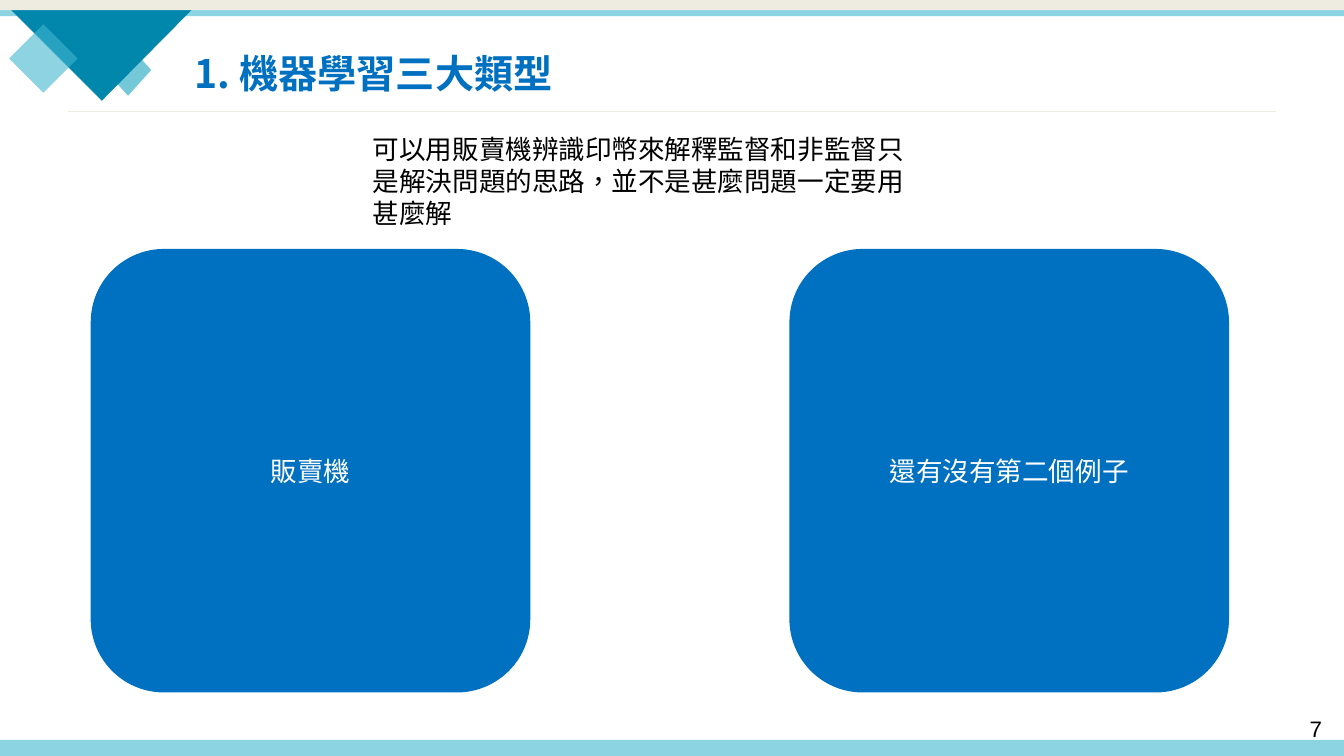
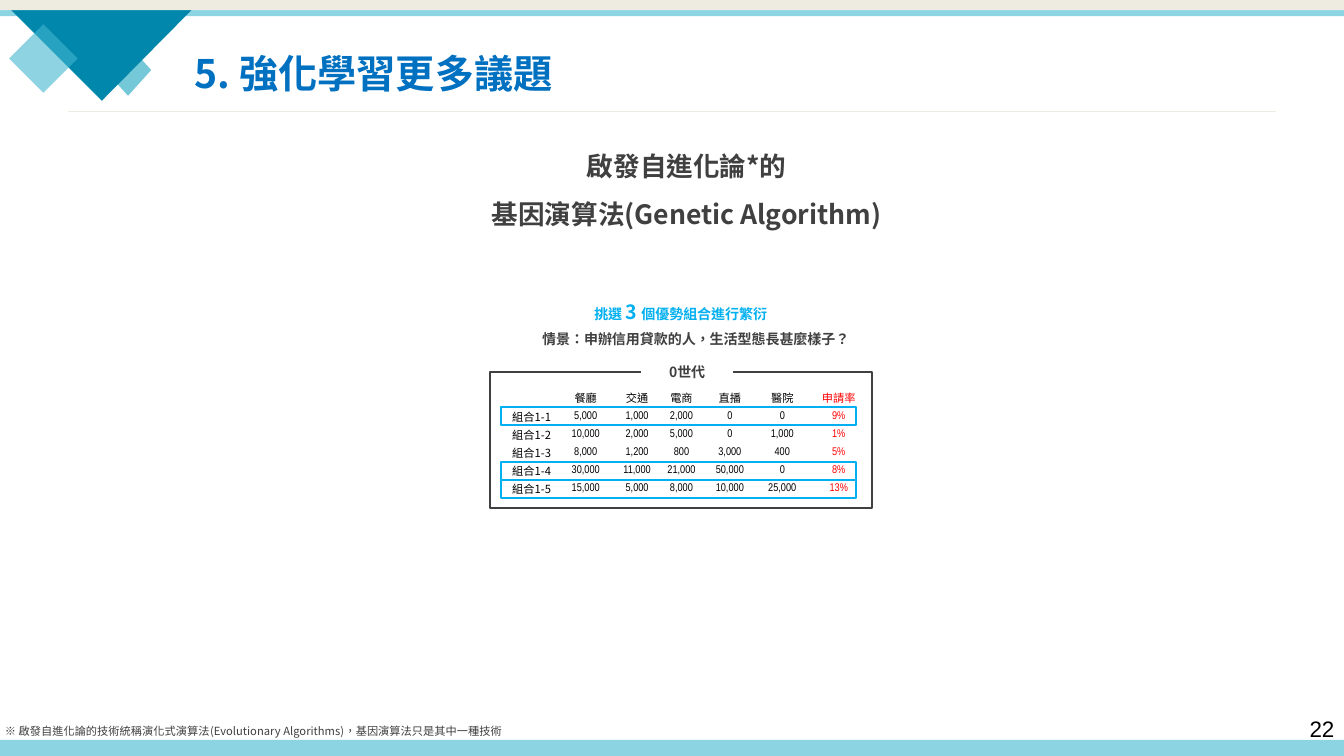
"""Build two machine learning slides that share one decorated layout."""
import pptx
import pptx.dml.color
import pptx.enum.lang
import pptx.enum.shapes
import pptx.enum.text
import pptx.oxml
import pptx.oxml.ns
import pptx.util

RGBColor = pptx.dml.color.RGBColor
Shape = pptx.enum.shapes.MSO_SHAPE
Align = pptx.enum.text.PP_ALIGN
Anchor = pptx.enum.text.MSO_ANCHOR

EMU_PER_PX = 9144
SLIDE_WIDTH, SLIDE_HEIGHT = 1333, 750

BLACK = RGBColor(0x00, 0x00, 0x00)
WHITE = RGBColor(0xFF, 0xFF, 0xFF)
GREY = RGBColor(0x40, 0x40, 0x40)
RED = RGBColor(0xFF, 0x00, 0x00)
BLUE = RGBColor(0x00, 0x70, 0xC0)
BRIGHT_BLUE = RGBColor(0x00, 0xB0, 0xF0)
BAND_BLUE = RGBColor(0x8D, 0xD4, 0xE3)
SMALL_DIAMOND_BLUE = RGBColor(0x1A, 0xA4, 0xBE)
LARGE_DIAMOND_BLUE = RGBColor(0x41, 0xB7, 0xD0)
TRIANGLE_BLUE = RGBColor(0x01, 0x87, 0xAC)
CREAM = RGBColor(0xEE, 0xEC, 0xE1)

CJK_FONT = "Noto Sans CJK SC"
TITLE = {"name": CJK_FONT, "size": 28, "bold": True, "color": BLUE}
HEADING = {"name": CJK_FONT, "size": 19, "bold": True, "color": GREY}
LABEL = {"name": CJK_FONT, "size": 10, "bold": True, "color": GREY}
ACCENT = {**LABEL, "color": BRIGHT_BLUE}
NOTE = {"name": CJK_FONT, "size": 8, "color": GREY}
BODY = {"name": "Arial", "size": 19, "color": BLACK}
CARD = {**BODY, "color": WHITE}
PAGE_NUMBER = {"name": "Arial", "size": 16, "color": BLACK}
TABLE_WORD = {"name": CJK_FONT, "size": 8, "color": BLACK}
TABLE_NUMBER = {**TABLE_WORD, "name": "Arial Narrow"}

COLUMN_WIDTHS = (57, 52, 50, 38, 58, 46, 66)
TABLE_LEFT, TABLE_TOP = 498, 384
HEADER_HEIGHT, ROW_HEIGHT = 20, 18
TABLE_ROWS = (
    ("", "餐廳", "交通", "電商", "直播", "醫院", "申請率"),
    ("組合1-1", "5,000", "1,000", "2,000", "0", "0", "9%"),
    ("組合1-2", "10,000", "2,000", "5,000", "0", "1,000", "1%"),
    ("組合1-3", "8,000", "1,200", "800", "3,000", "400", "5%"),
    ("組合1-4", "30,000", "11,000", "21,000", "50,000", "0", "8%"),
    ("組合1-5", "15,000", "5,000", "8,000", "10,000", "25,000", "13%"),
)
SELECTED_ROWS = (1, 4, 5)


def px(*lengths):
    """Turn px lengths into a list of EMU lengths."""
    return [pptx.util.Emu(length * EMU_PER_PX) for length in lengths]


def make_element(tag, attributes=""):
    """Make an empty drawing element."""
    return pptx.oxml.parse_xml(f'<a:{tag} {pptx.oxml.ns.nsdecls("a")} {attributes}/>')


def set_attributes(target, **values):
    """Set each named value on the target."""
    for name, value in values.items():
        setattr(target, name, value)


def format_font(run, style):
    """Apply a text style to a run, East Asian characters included."""
    run.font.language_id = pptx.enum.lang.MSO_LANGUAGE_ID.TRADITIONAL_CHINESE
    for name, value in style.items():
        if name == "color":
            run.font.color.rgb = value
        else:
            setattr(run.font, name, pptx.util.Pt(value) if name == "size" else value)
    run.font._element.append(make_element("ea", f'typeface="{CJK_FONT}"'))


def write_paragraphs(text_frame, paragraphs, align=Align.LEFT, spacing=1.0):
    """Write paragraphs, each a list of (text, style) runs."""
    for index, runs in enumerate(paragraphs):
        paragraph = text_frame.add_paragraph() if index else text_frame.paragraphs[0]
        set_attributes(paragraph, alignment=align, line_spacing=spacing)
        for text, style in runs:
            if text:
                run = paragraph.add_run()
                run.text = text
                format_font(run, style)
            else:
                paragraph._p.append(make_element("endParaRPr", f'sz="{style["size"] * 100}"'))


def add_text(slide, bounds, paragraphs, align=Align.LEFT, spacing=1.0, fill=None):
    """Add a wrapping text box, with a fill if one is given."""
    box = slide.shapes.add_textbox(*px(*bounds))
    box.text_frame.word_wrap = True
    if fill is not None:
        box.fill.solid()
        box.fill.fore_color.rgb = fill
    write_paragraphs(box.text_frame, paragraphs, align, spacing)
    return box


def paint(shape, fill=None, line=None, line_width=1, alpha=None):
    """Set the fill and outline of a shape and drop its shadow."""
    shape.shadow.inherit = False
    if fill is None:
        shape.fill.background()
    else:
        shape.fill.solid()
        shape.fill.fore_color.rgb = fill
    if line is None:
        shape.line.fill.background()
    else:
        shape.line.color.rgb = line
        shape.line.width = pptx.util.Pt(line_width)
    if alpha is not None:
        color = shape.element.spPr.find(".//" + pptx.oxml.ns.qn("a:srgbClr"))
        color.append(make_element("alpha", f'val="{alpha * 1000}"'))
    return shape


def add_shape(slide, kind, bounds, **look):
    """Add a painted preset shape."""
    return paint(slide.shapes.add_shape(kind, *px(*bounds)), **look)


def add_divider(slide, left, right, top):
    """Add the thin line below the title."""
    divider = slide.shapes.add_connector(
        pptx.enum.shapes.MSO_CONNECTOR.STRAIGHT, *px(left, top, right, top))
    divider.line.color.rgb = CREAM
    divider.line.width = pptx.util.Pt(0.5)
    divider.element.spPr.append(make_element("effectLst"))


def add_triangle(slide):
    """Add the large corner triangle."""
    builder = slide.shapes.build_freeform(17, 0, scale=EMU_PER_PX)
    builder.add_line_segments([(184, 0), (192, 8), (101, 100), (9, 8)], close=True)
    paint(builder.convert_to_shape(), fill=TRIANGLE_BLUE)


def decorate_layout(slide):
    """Draw the shared bands and corner, then move them to the slide's layout."""
    existing = len(slide.shapes)
    add_shape(slide, Shape.DIAMOND, (104, 44, 46, 51), fill=SMALL_DIAMOND_BLUE, alpha=60)
    add_shape(slide, Shape.RECTANGLE, (0, 0, SLIDE_WIDTH, 16), fill=BAND_BLUE)
    add_triangle(slide)
    add_shape(slide, Shape.DIAMOND, (9, 24, 68, 68), fill=LARGE_DIAMOND_BLUE, alpha=60)
    add_shape(slide, Shape.RECTANGLE, (0, SLIDE_HEIGHT - 16, SLIDE_WIDTH, 16), fill=BAND_BLUE)
    add_shape(slide, Shape.RECTANGLE, (0, 0, SLIDE_WIDTH, 10), fill=CREAM)
    add_divider(slide, 67, 1266, 110)
    for shape in list(slide.shapes)[existing:]:
        slide.slide_layout.shapes.element.append(shape.element)


def add_titled_slide(presentation, title, page_number):
    """Add a slide with its title and page number."""
    slide = presentation.slides.add_slide(presentation.slide_layouts[5])
    placeholder = slide.shapes.title
    left, top, width, height = px(183, 21, 1013, 72)
    set_attributes(placeholder, left=left, top=top, width=width, height=height)
    set_attributes(placeholder.text_frame, word_wrap=True, vertical_anchor=Anchor.TOP,
                   auto_size=pptx.enum.text.MSO_AUTO_SIZE.NONE)
    write_paragraphs(placeholder.text_frame, [[(title, TITLE)]], spacing=1.5)
    number = add_text(slide, (1289, 705, 44, 37), [[(page_number, PAGE_NUMBER)]])
    number.text_frame.margin_right = 0
    return slide


def add_card(slide, left, text):
    """Add a rounded card with centred text."""
    card = add_shape(slide, Shape.ROUNDED_RECTANGLE, (left, 247, 436, 440), fill=BLUE)
    set_attributes(card.text_frame, word_wrap=True, vertical_anchor=Anchor.MIDDLE)
    write_paragraphs(card.text_frame, [[(text, CARD)]], Align.CENTER)


def add_generation_table(slide):
    """Add the table of combinations."""
    table_height = HEADER_HEIGHT + ROW_HEIGHT * (len(TABLE_ROWS) - 1)
    bounds = px(TABLE_LEFT, TABLE_TOP, sum(COLUMN_WIDTHS), table_height)
    table = slide.shapes.add_table(len(TABLE_ROWS), len(COLUMN_WIDTHS), *bounds).table
    set_attributes(table, first_row=False, horz_banding=False)
    for column, width in zip(table.columns, px(*COLUMN_WIDTHS)):
        column.width = width
    last_column = len(COLUMN_WIDTHS) - 1
    for row_index, values in enumerate(TABLE_ROWS):
        height = ROW_HEIGHT if row_index else HEADER_HEIGHT
        table.rows[row_index].height = px(height)[0]
        for column_index, value in enumerate(values):
            cell = table.cell(row_index, column_index)
            is_label = column_index == 0
            cell.fill.background()
            set_attributes(cell, margin_left=px(10 if is_label else 0)[0], margin_right=0,
                           margin_top=0, margin_bottom=0, vertical_anchor=Anchor.MIDDLE)
            style = TABLE_NUMBER if row_index and not is_label else TABLE_WORD
            if column_index == last_column:
                style = {**style, "color": RED}
            align = Align.LEFT if is_label else Align.CENTER
            write_paragraphs(cell.text_frame, [[(value, style)]], align)


def outline_selected_rows(slide):
    """Outline the table rows that are selected."""
    for row_index in SELECTED_ROWS:
        top = TABLE_TOP + HEADER_HEIGHT + ROW_HEIGHT * (row_index - 1)
        add_shape(slide, Shape.RECTANGLE, (497, top, 352, ROW_HEIGHT),
                  line=BRIGHT_BLUE, line_width=1.5)


def build_learning_types(presentation):
    """Build the slide on the types of machine learning."""
    slide = add_titled_slide(presentation, "1. 機器學習三大類型", "7")
    decorate_layout(slide)
    explanation = "可以用販賣機辨識印幣來解釋監督和非監督只是解決問題的思路，並不是甚麼問題一定要用甚麼解"
    add_text(slide, (360, 127, 558, 106), [[(explanation, BODY)]])
    for left, text in ((90, "販賣機"), (783, "還有沒有第二個例子")):
        add_card(slide, left, text)


def build_genetic_algorithm(presentation):
    """Build the slide on the genetic algorithm."""
    slide = add_titled_slide(presentation, "5. 強化學習更多議題", "22")
    centred = {"align": Align.CENTER, "spacing": 1.5}
    add_text(slide, (400, 128, 562, 100),
             [[("啟發自進化論*的", HEADING)],
              [("基因演算法(Genetic Algorithm)", HEADING)]], **centred)
    footnote = "※ 啟發自進化論的技術統稱演化式演算法(Evolutionary Algorithms)，基因演算法只是其中一種技術"
    add_text(slide, (-5, 707, 703, 28), [[(footnote, NOTE)]], spacing=1.5)
    add_text(slide, (522, 315, 336, 32),
             [[("情景：申辦信用貸款的人，生活型態長甚麼樣子？", LABEL)]], **centred)
    add_text(slide, (574, 281, 202, 41),
             [[("挑選 ", ACCENT), ("3 ", {**ACCENT, "size": 14}),
               ("個優勢組合進行繁衍", ACCENT)]], **centred)
    add_generation_table(slide)
    add_shape(slide, Shape.RECTANGLE, (486, 369, 379, 135), line=GREY)
    add_text(slide, (636, 347, 91, 32), [[("0世代", LABEL)]], fill=WHITE, **centred)
    outline_selected_rows(slide)


def main():
    """Build and save the presentation."""
    presentation = pptx.Presentation()
    presentation.slide_width, presentation.slide_height = px(SLIDE_WIDTH, SLIDE_HEIGHT)
    build_learning_types(presentation)
    build_genetic_algorithm(presentation)
    presentation.save("out.pptx")


if __name__ == "__main__":
    main()
